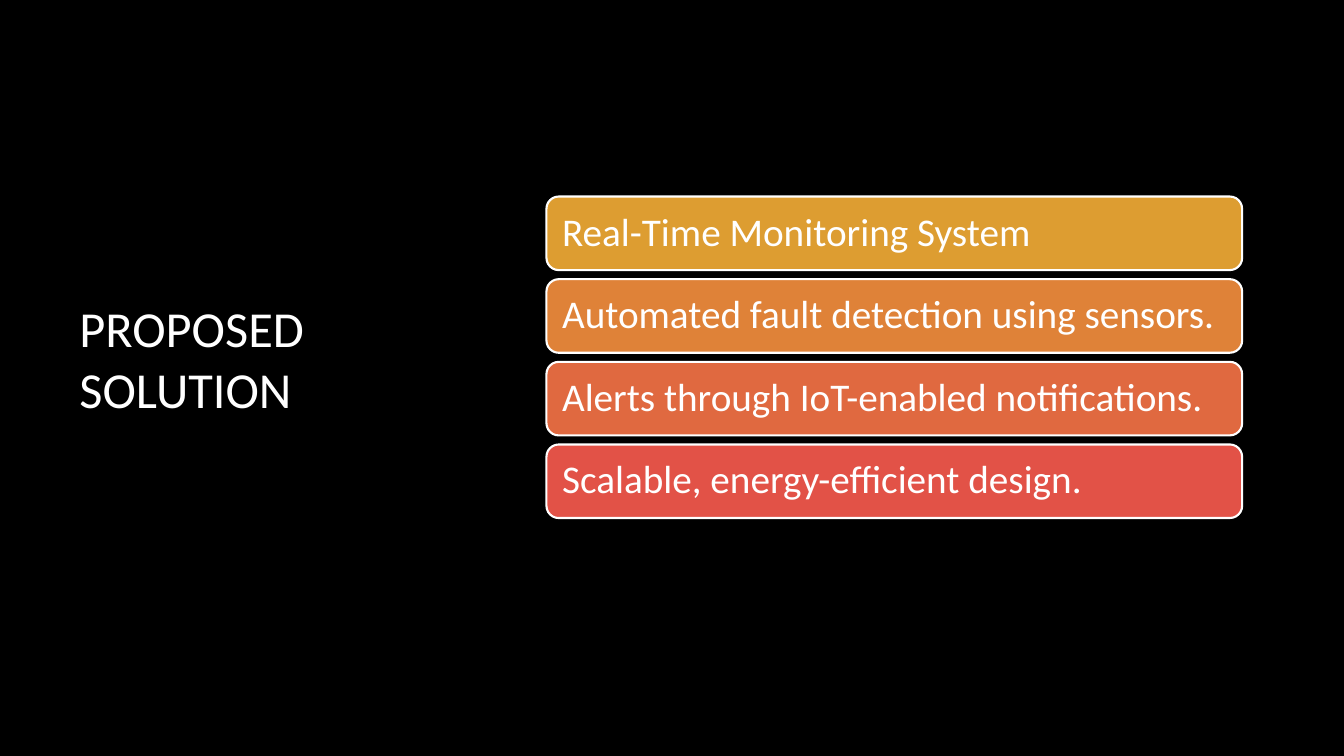
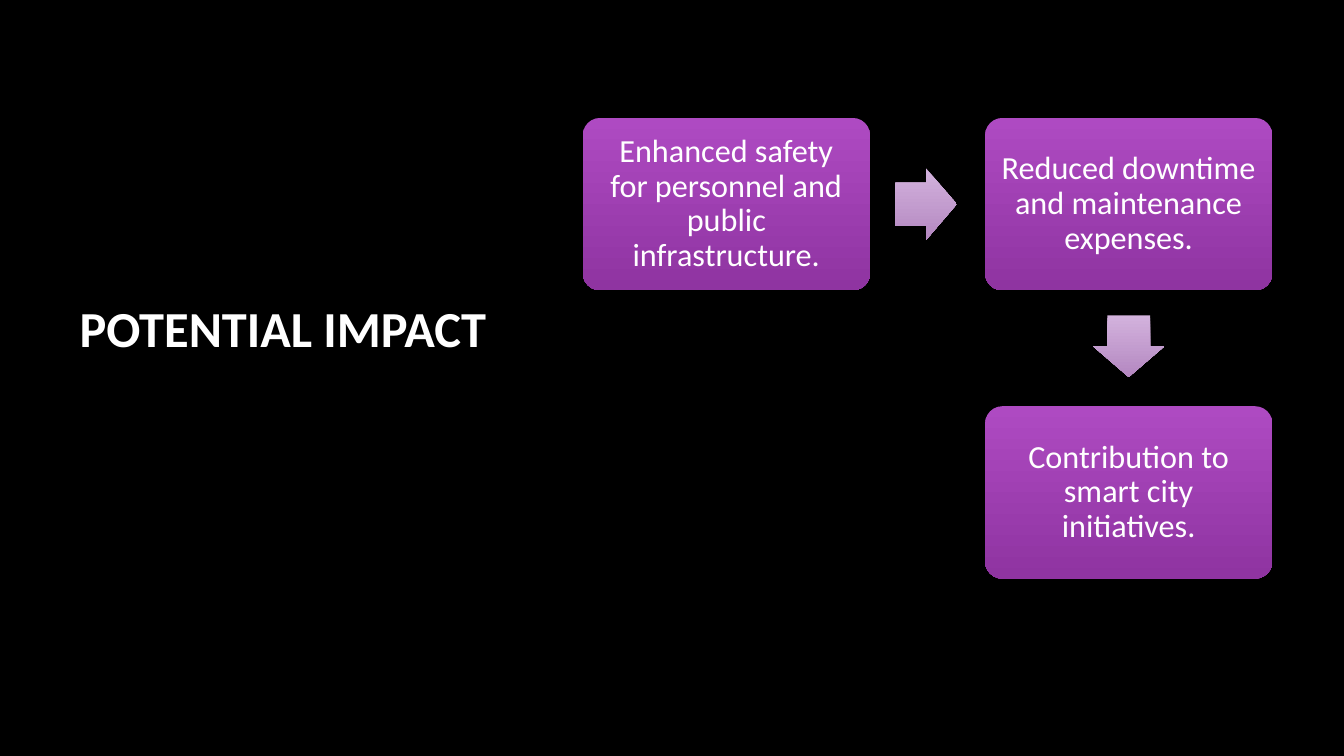
from dataclasses import dataclass

from pptx import Presentation
from pptx.dml.color import RGBColor
from pptx.enum.shapes import MSO_SHAPE
from pptx.enum.text import MSO_ANCHOR, PP_ALIGN
from pptx.shapes.autoshape import Shape
from pptx.slide import Slide
from pptx.text.text import TextFrame
from pptx.util import Inches, Pt


@dataclass(frozen=True)
class Theme:
    font: str = "Calibri"
    background: str = "000000"
    text: str = "FFFFFF"
    bar_fills: tuple[str, ...] = ("DD9D31", "DF8238", "E06940", "E25247")
    step_fill: tuple[str, str] = ("AE4AC2", "8F34A1")
    arrow_fill: tuple[str, str] = ("D3B2DD", "B488C1")
    title_size: int = 36
    bar_size: int = 28
    step_size: int = 23


@dataclass(frozen=True)
class Area:
    left: float
    top: float
    width: float
    height: float

    def lengths(self) -> tuple[Inches, Inches, Inches, Inches]:
        return Inches(self.left), Inches(self.top), Inches(self.width), Inches(self.height)


@dataclass(frozen=True)
class Step:
    text: str
    column: int
    row: int


THEME = Theme()
TITLE_LEFT, TITLE_TOP, TITLE_HEIGHT = 0.69, 2.9, 1.32
FIRST_BAR = Area(5.42, 1.95, 6.9, 0.73)
BAR_PITCH = 0.82
FIRST_STEP = Area(5.78, 1.17, 2.85, 1.71)
COLUMN_PITCH, ROW_PITCH = 3.99, 2.86
ARROW_LENGTH, ARROW_BREADTH, ARROW_GAP = 0.61, 0.71, 0.25

BARS = (
    "Real-Time Monitoring System",
    "Automated fault detection using sensors.",
    "Alerts through IoT-enabled notifications.",
    "Scalable, energy-efficient design.",
)
STEPS = (
    Step("Enhanced safety for personnel and public infrastructure.", 0, 0),
    Step("Reduced downtime and maintenance expenses.", 1, 0),
    Step("Contribution to smart city initiatives.", 1, 1),
)


def write(frame: TextFrame, text: str, size: int, inset: float,
          alignment: PP_ALIGN = PP_ALIGN.LEFT, bold: bool = False,
          spacing: float = 0.9) -> None:
    frame.word_wrap = True
    frame.vertical_anchor = MSO_ANCHOR.MIDDLE
    frame.margin_left = frame.margin_right = Inches(inset)
    frame.margin_top = frame.margin_bottom = Inches(inset)
    para = frame.paragraphs[0]
    para.alignment = alignment
    para.line_spacing = spacing
    span = para.add_run()
    span.text = text
    span.font.name = THEME.font
    span.font.size = Pt(size)
    span.font.bold = bold
    span.font.color.rgb = RGBColor.from_string(THEME.text)


def add_page(deck: Presentation, title: str, width: float, bold: bool = False) -> Slide:
    page = deck.slides.add_slide(deck.slide_layouts[6])
    page.background.fill.solid()
    page.background.fill.fore_color.rgb = RGBColor.from_string(THEME.background)
    area = Area(TITLE_LEFT, TITLE_TOP, width, TITLE_HEIGHT)
    frame = page.shapes.add_textbox(*area.lengths()).text_frame
    write(frame, title, THEME.title_size, 0.05, bold=bold, spacing=1.0)
    frame.vertical_anchor = MSO_ANCHOR.TOP
    frame.margin_left = frame.margin_right = Inches(0.1)
    return page


def add_bar(page: Slide, index: int, text: str, fill: str) -> None:
    area = Area(FIRST_BAR.left, FIRST_BAR.top + index * BAR_PITCH,
                FIRST_BAR.width, FIRST_BAR.height)
    bar = page.shapes.add_shape(MSO_SHAPE.ROUNDED_RECTANGLE, *area.lengths())
    bar.shadow.inherit = False
    bar.fill.solid()
    bar.fill.fore_color.rgb = RGBColor.from_string(fill)
    bar.line.color.rgb = RGBColor.from_string(THEME.text)
    bar.line.width = Pt(1.5)
    write(bar.text_frame, text, THEME.bar_size, 0.12)


def add_gradient_shape(page: Slide, kind: MSO_SHAPE, area: Area,
                       colors: tuple[str, str], adjustments: tuple[float, ...]) -> Shape:
    shape = page.shapes.add_shape(kind, *area.lengths())
    shape.shadow.inherit = False
    shape.line.fill.background()
    shape.fill.gradient()
    shape.fill.gradient_angle = 270
    for stop, color in zip(shape.fill.gradient_stops, colors):
        stop.color.rgb = RGBColor.from_string(color)
    for index, value in enumerate(adjustments):
        shape.adjustments[index] = value
    return shape


def step_area(step: Step) -> Area:
    return Area(FIRST_STEP.left + step.column * COLUMN_PITCH,
                FIRST_STEP.top + step.row * ROW_PITCH,
                FIRST_STEP.width, FIRST_STEP.height)


def add_step(page: Slide, step: Step) -> None:
    box = add_gradient_shape(page, MSO_SHAPE.ROUNDED_RECTANGLE, step_area(step),
                             THEME.step_fill, (0.1,))
    write(box.text_frame, step.text, THEME.step_size, 0.1, PP_ALIGN.CENTER)


def add_arrow(page: Slide, start: Step, end: Step) -> None:
    box = step_area(start)
    if start.row == end.row:
        kind = MSO_SHAPE.RIGHT_ARROW
        area = Area(box.left + box.width + ARROW_GAP,
                    box.top + (box.height - ARROW_BREADTH) / 2,
                    ARROW_LENGTH, ARROW_BREADTH)
    else:
        kind = MSO_SHAPE.DOWN_ARROW
        area = Area(box.left + (box.width - ARROW_BREADTH) / 2,
                    box.top + box.height + ARROW_GAP,
                    ARROW_BREADTH, ARROW_LENGTH)
    add_gradient_shape(page, kind, area, THEME.arrow_fill, (0.6, 0.5))


def add_solution_page(deck: Presentation) -> None:
    page = add_page(deck, "PROPOSED SOLUTION", 3.73)
    for index, (text, fill) in enumerate(zip(BARS, THEME.bar_fills)):
        add_bar(page, index, text, fill)


def add_impact_page(deck: Presentation) -> None:
    page = add_page(deck, "POTENTIAL IMPACT", 4.45, bold=True)
    for step in STEPS:
        add_step(page, step)
    for start, end in zip(STEPS, STEPS[1:]):
        add_arrow(page, start, end)


def main() -> None:
    deck = Presentation()
    deck.slide_width = Inches(13.33)
    deck.slide_height = Inches(7.5)
    add_solution_page(deck)
    add_impact_page(deck)
    deck.save("out.pptx")


if __name__ == "__main__":
    main()
